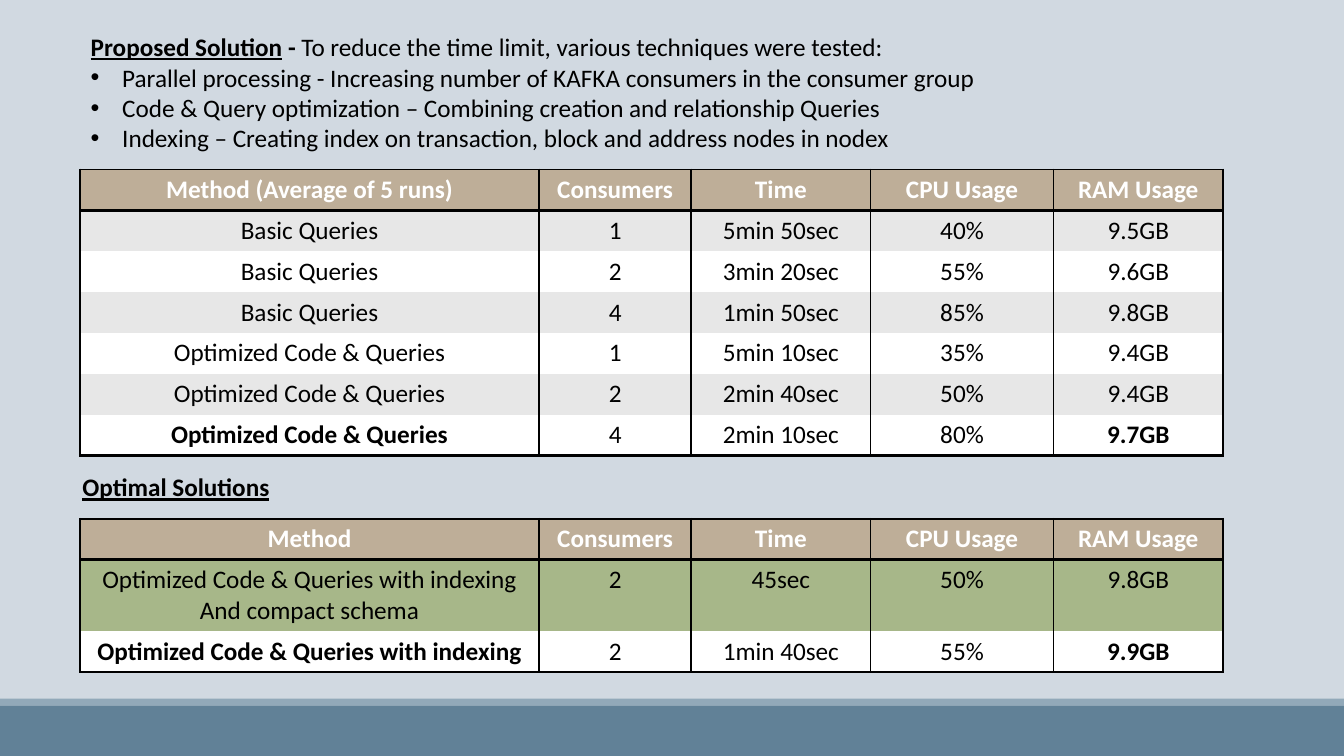
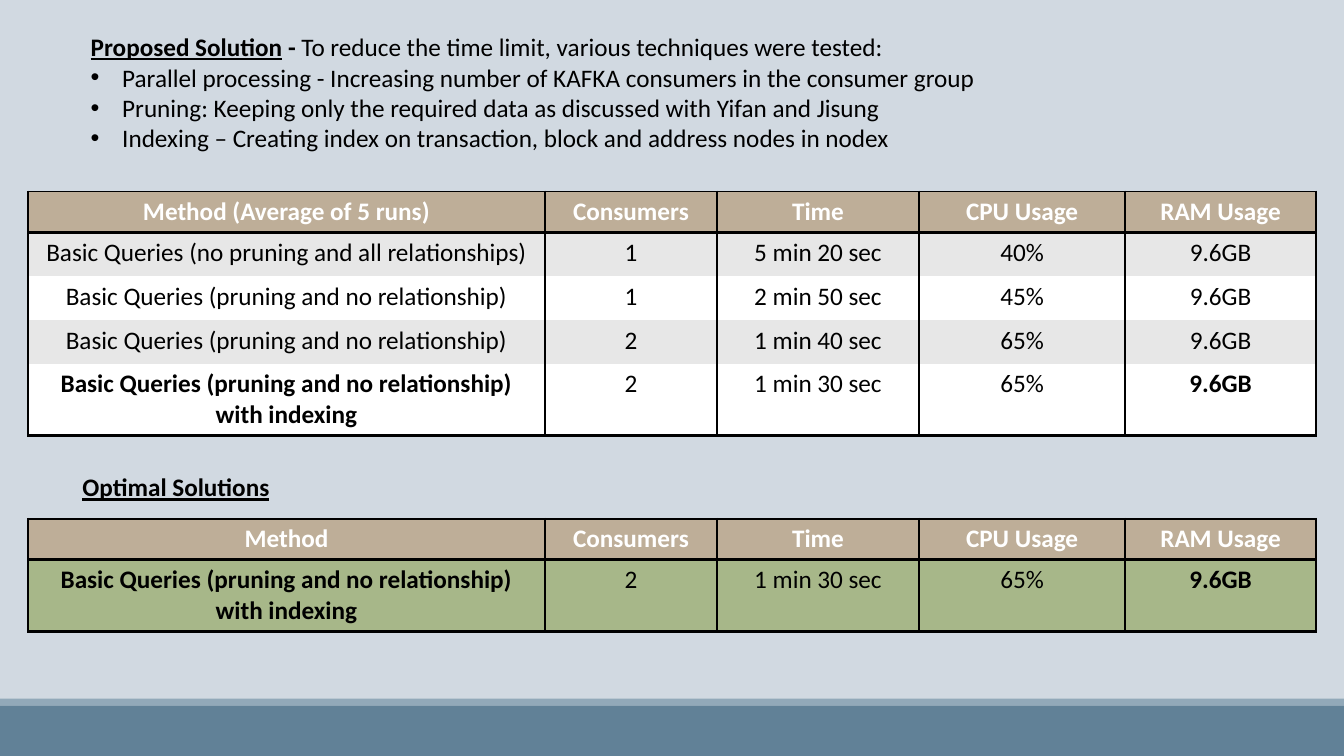
from pptx import Presentation
from pptx.dml.color import RGBColor
from pptx.enum import shapes, text
from pptx.oxml import ns
from pptx.util import Pt
from lxml import etree

FONT, SIZE = "Calibri", 18
BLACK, WHITE = "000000", "FFFFFF"
PAGE, BAND, STRIP = "D1D9E1", "618197", "92A9B9"
HEAD, GREY, GREEN = "BEAE98", "E7E7E7", "A7B789"
WIDE, HIGH = 960, 540
LEAD = 22  # height of one text line
ROW = 29.2  # height of a one-line row
PLAIN = "{2D5ABB26-0587-4C30-8999-92F81FD0307C}"  # table style without grid
COLS = ["Consumers", "Time", "CPU Usage", "RAM Usage"]


def paint(fill, tone):
    fill.solid()
    fill.fore_color.rgb = RGBColor.from_string(tone)


def style(run, bold=False, line=False, tone=BLACK):
    font = run.font
    font.name, font.size = FONT, Pt(SIZE)
    font.bold, font.underline = bold, line
    font.color.rgb = RGBColor.from_string(tone)


def place(shape, left, top, wide, high):
    shape.left, shape.top = Pt(left), Pt(top)
    shape.width, shape.height = Pt(wide), Pt(high)
    frame = shape.text_frame
    frame.word_wrap = True
    frame.auto_size = text.MSO_AUTO_SIZE.NONE
    frame.vertical_anchor = text.MSO_ANCHOR.TOP
    return frame


# Shared background and footer bands
def add_bands(master, slide):
    paint(master.background.fill, PAGE)
    bands = [(499, 5, STRIP), (504, 36, BAND)]
    for num, (top, high, tone) in enumerate(bands):
        band = slide.shapes.add_shape(
            shapes.MSO_SHAPE.RECTANGLE, 0, Pt(top), Pt(WIDE), Pt(high))
        band.shadow.inherit = False
        paint(band.fill, tone)
        band.line.fill.background()
        band.element.nvSpPr.cNvPr.set("id", str(20 + num))
        master.shapes.element.insert(2 + num, band.element)


# Lead line and bullet list
def add_lead(slide, items):
    frame = place(slide.shapes.title, 57.6, 18.7, 826.6, 29.2)
    para = frame.paragraphs[0]
    para.alignment = text.PP_ALIGN.LEFT
    parts = [("Proposed Solution", True, True), (" - ", True, False),
             ("To reduce the time limit, various techniques were tested:",
              False, False)]
    for words, bold, line in parts:
        run = para.add_run()
        run.text = words
        style(run, bold, line)

    frame = place(slide.placeholders[1], 57.6, 18.7 + LEAD, 826.6, 73.2)
    frame.text = "\n".join(items)
    for para in frame.paragraphs:
        props = para._p.get_or_add_pPr()
        props.set("marL", str(Pt(22.5)))
        props.set("indent", str(-Pt(22.5)))
        para.space_before = Pt(0)
        style(para.runs[0])


def add_label(slide, words):
    box = slide.shapes.add_textbox(0, 0, 0, 0)
    frame = place(box, 51.8, 333.4, 826.6, 29.2)
    frame.text = words
    style(frame.paragraphs[0].runs[0], True, True)


# Tables
def add_edge(cell, side, width):
    edge = etree.SubElement(cell._tc.get_or_add_tcPr(),
                            ns.qn("a:ln" + side), w=str(Pt(width)))
    fill = etree.SubElement(edge, ns.qn("a:solidFill"))
    etree.SubElement(fill, ns.qn("a:srgbClr"), val=BLACK)


def fill_cell(cell, words, tone, ink, bold, edges):
    for side, width in edges.items():
        add_edge(cell, side, width)
    paint(cell.fill, tone)
    cell.text_frame.text = words
    for para in cell.text_frame.paragraphs:
        para.alignment = text.PP_ALIGN.CENTER
        for run in para.runs:
            style(run, bold, tone=ink)


def add_grid(slide, left, top, cols, highs, rows, tones, base=2):
    frame = slide.shapes.add_table(len(rows), len(cols), Pt(left), Pt(top),
                                   Pt(sum(cols)), Pt(sum(highs)))
    table = frame.table
    frame.element.find(".//" + ns.qn("a:tableStyleId")).text = PLAIN
    for col, wide in zip(table.columns, cols):
        col.width = Pt(wide)
    last = len(rows) - 1
    for r, (row, high) in enumerate(zip(rows, highs)):
        table.rows[r].height = Pt(high)
        edges = {"L": 1.5, "R": 1.5}
        if r == 0:
            edges.update(T=1.5, B=2)
        elif r == last:
            edges["B"] = base
        tone = HEAD if r == 0 else tones[(r - 1) % len(tones)]
        for c, words in enumerate(row):
            bold = r == 0 or (r == last and c in (0, len(row) - 1))
            fill_cell(table.cell(r, c), words, tone,
                      BLACK if r else WHITE, bold, edges)


def add_page(deck, item, left, top, cols, tests, highs, best, base):
    slide = deck.slides.add_slide(deck.slide_layouts[1])
    add_lead(slide, [
        "Parallel processing - Increasing number of KAFKA consumers "
        "in the consumer group",
        item,
        "Indexing – Creating index on transaction, block and address "
        "nodes in nodex"])
    add_grid(slide, left, top, cols, highs,
             [["Method (Average of 5 runs)"] + COLS] + tests, [GREY, WHITE])
    add_label(slide, "Optimal Solutions")
    tall = [ROW, ROW + LEAD, ROW][:len(best) + 1]
    add_grid(slide, left, 370.6, cols, tall,
             [["Method"] + COLS] + best, [GREEN, WHITE], base)
    return slide


def main():
    deck = Presentation()
    deck.slide_width, deck.slide_height = Pt(WIDE), Pt(HIGH)

    # Slide 1: code and query optimization
    basic, tuned = "Basic Queries", "Optimized Code & Queries"
    tests = [
        [basic, "1", "5min 50sec", "40%", "9.5GB"],
        [basic, "2", "3min 20sec", "55%", "9.6GB"],
        [basic, "4", "1min 50sec", "85%", "9.8GB"],
        [tuned, "1", "5min 10sec", "35%", "9.4GB"],
        [tuned, "2", "2min 40sec", "50%", "9.4GB"],
        [tuned, "4", "2min 10sec", "80%", "9.7GB"]]
    index = tuned + " with indexing"
    best = [[index + "\nAnd compact schema", "2", "45sec", "50%", "9.8GB"],
            [index, "2", "1min 40sec", "55%", "9.9GB"]]
    first = add_page(
        deck,
        "Code & Query optimization – Combining creation and "
        "relationship Queries",
        57.2, 121, [327.8, 108.8, 128, 130.8, 121], tests, [ROW] * 7,
        best, 1.5)
    add_bands(deck.slide_master, first)

    # Slide 2: pruning
    prune = basic + " (pruning and no relationship)"
    final = [prune + "\vwith indexing", "2", "1 min 30 sec", "65%", "9.6GB"]
    tests = [
        [basic + " (no pruning and all relationships)",
         "1", "5 min 20 sec", "40%", "9.6GB"],
        [prune, "1", "2 min 50 sec", "45%", "9.6GB"],
        [prune, "2", "1 min 40 sec", "65%", "9.6GB"],
        final]
    add_page(
        deck,
        "Pruning: Keeping only the required data as discussed with "
        "Yifan and Jisung",
        20, 136.8, [369.2, 123, 144.2, 147.4, 136.2], tests,
        [ROW] + [31.3] * 3 + [ROW + LEAD], [final], 2)

    deck.save("out.pptx")


if __name__ == "__main__":
    main()
